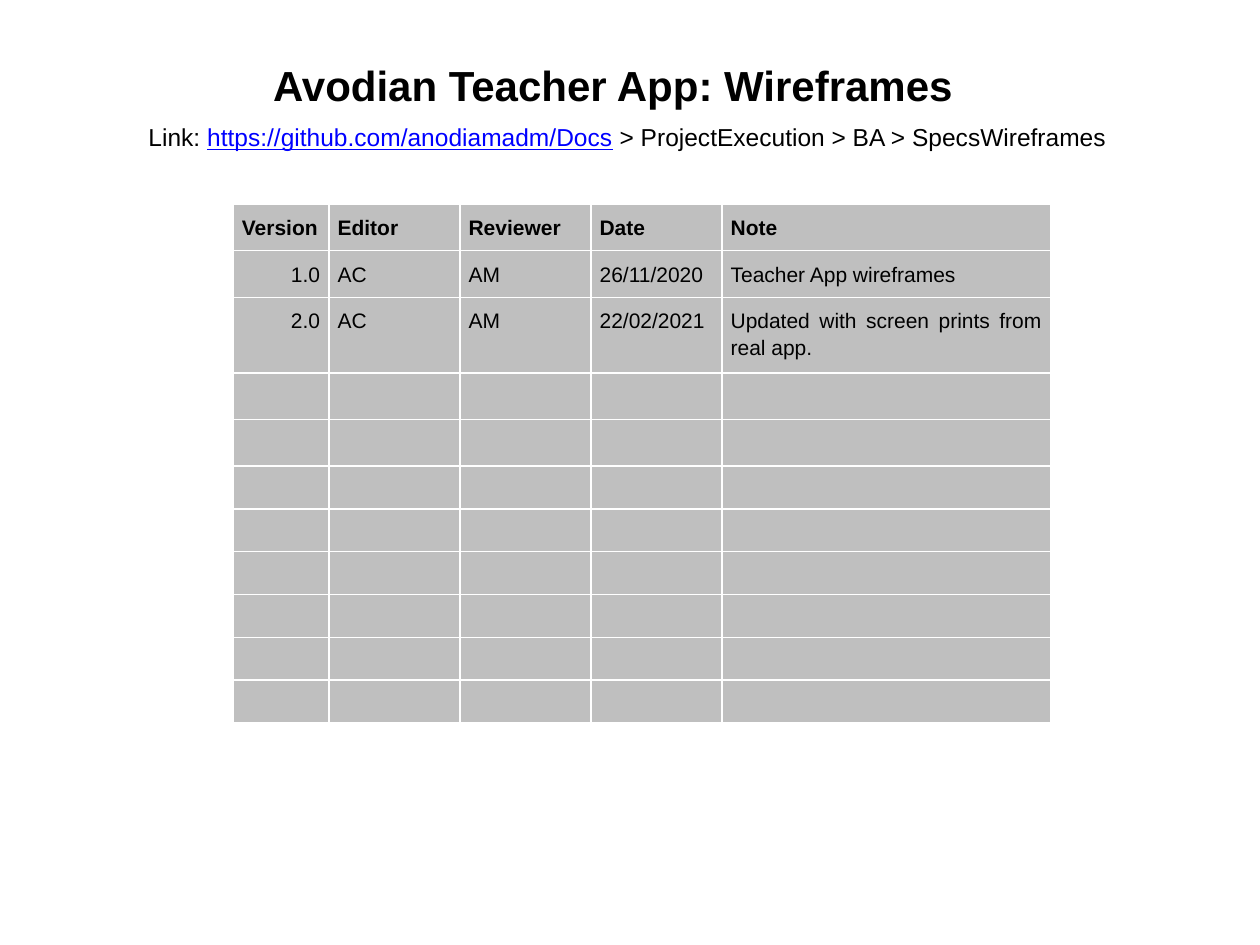
from pptx import Presentation
from pptx.dml.color import RGBColor
from pptx.enum import text
from pptx.oxml.ns import qn
from pptx.util import Inches, Pt
from lxml import etree

HUES = {"ink": "000000", "link": "0000FF", "cell": "BFBFBF", "rule": "FFFFFF"}
FACE = "Arial"
ALIGN = text.PP_ALIGN

# Content: each heading run is (words, format)
TITLE = [("Avodian Teacher App: Wireframes", {"bold": True})]
LINK = [
    ("Link: ", {}),
    ("https://github.com/anodiamadm/Docs", {"hue": "link", "underline": True}),
    (" > ProjectExecution > BA > SpecsWireframes", {}),
]
HEADS = [
    # runs, box, size, line spacing, wrap
    (TITLE, (1.98, 0.36, 5.77, 0.57), 24, 1.15, False),
    (LINK, (0.47, 0.92, 9.02, 0.34), 14, 1.0, True),
]
LOG = [
    ("Version", "Editor", "Reviewer", "Date", "Note"),
    ("1.0", "AC", "AM", "26/11/2020", "Teacher App wireframes"),
    ("2.0", "AC", "AM", "22/02/2021", "Updated with screen prints from real app."),
]
WIDTHS = [0.76] + [1.04] * 3 + [2.61]
HEIGHTS = [0.37, 0.37, 0.6, 0.37, 0.37] + [0.34] * 6
LEFT, TOP, PAD = 1.85, 1.62, 0.07


def add_run(para, words, size, hue="ink", **look):
    run = para.add_run()
    run.text = words
    for key, val in {"name": FACE, "size": Pt(size), **look}.items():
        setattr(run.font, key, val)
    run.font.color.rgb = RGBColor.from_string(HUES[hue])


def add_head(slide, runs, box, size, space, wrap):
    frame = slide.shapes.add_textbox(*map(Inches, box)).text_frame
    frame.word_wrap = wrap
    para = frame.paragraphs[0]
    para.alignment, para.line_spacing = ALIGN.CENTER, space
    for words, look in runs:
        add_run(para, words, size, **look)


def rule_cell(cell):
    props = cell._tc.get_or_add_tcPr()
    for spot, side in enumerate(("lnL", "lnR", "lnT", "lnB")):
        line = etree.Element(qn("a:" + side), w=str(Pt(1)))
        fill = etree.SubElement(line, qn("a:solidFill"))
        etree.SubElement(fill, qn("a:srgbClr"), val=HUES["rule"])
        props.insert(spot, line)


def fill_cell(cell, row, col):
    for side in ("left", "right", "top", "bottom"):
        setattr(cell, "margin_" + side, Inches(PAD))
    cell.fill.solid()
    cell.fill.fore_color.rgb = RGBColor.from_string(HUES["cell"])
    rule_cell(cell)
    para = cell.text_frame.paragraphs[0]
    if row < len(LOG):
        para.alignment = ALIGN.RIGHT if row and not col else ALIGN.JUSTIFY
        para.line_spacing = 1.15
        add_run(para, LOG[row][col], 12, bold=row == 0)
    else:
        # Keeps blank rows from growing
        etree.SubElement(para._p, qn("a:endParaRPr"), sz="1200")


def add_log(slide):
    size = (len(HEIGHTS), len(WIDTHS))
    box = (LEFT, TOP, sum(WIDTHS), sum(HEIGHTS))
    table = slide.shapes.add_table(*size, *map(Inches, box)).table
    table.first_row = table.horz_banding = False
    for col, wide in zip(table.columns, WIDTHS):
        col.width = Inches(wide)
    for row, high in zip(table.rows, HEIGHTS):
        row.height = Inches(high)
    for row in range(size[0]):
        for col in range(size[1]):
            fill_cell(table.cell(row, col), row, col)


def main():
    deck = Presentation()
    deck.slide_width, deck.slide_height = Inches(10), Inches(7.5)
    slide = deck.slides.add_slide(deck.slide_layouts[6])
    # Title and link line
    for head in HEADS:
        add_head(slide, *head)
    # Version history
    add_log(slide)
    deck.save("out.pptx")


if __name__ == "__main__":
    main()
